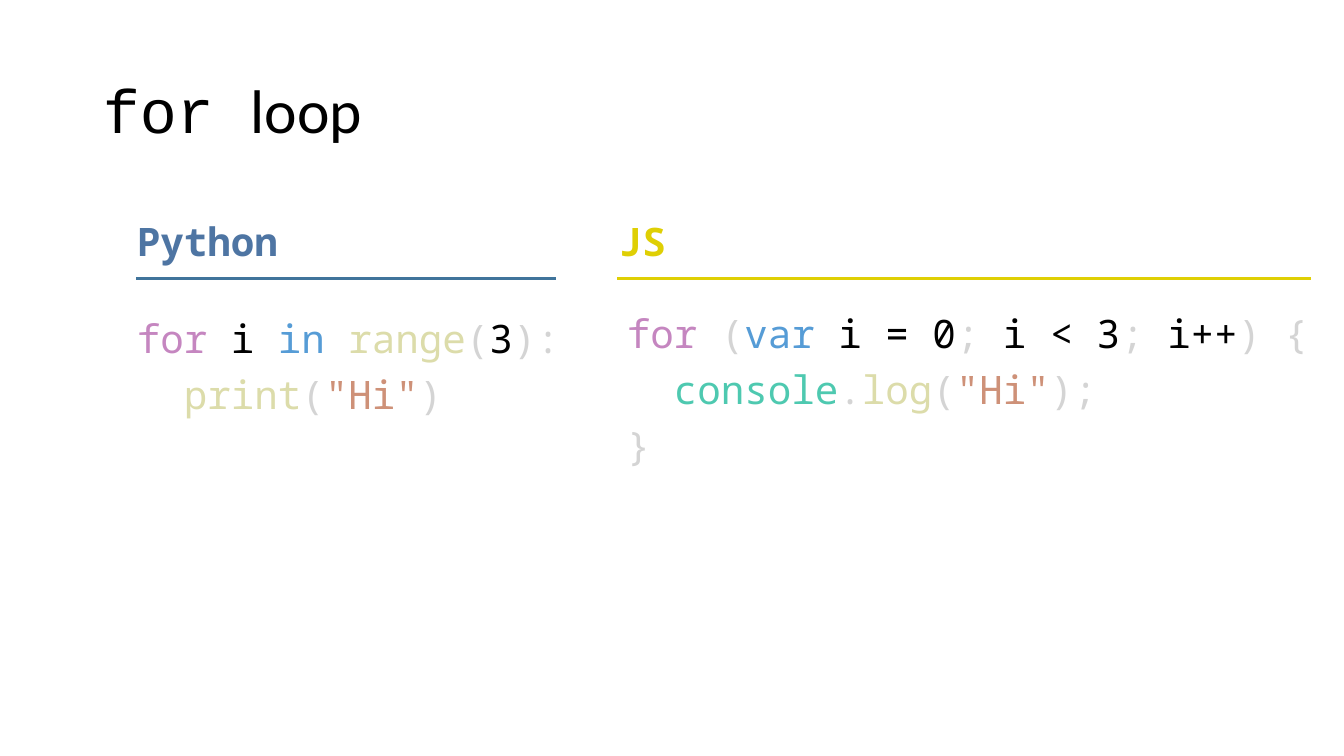
from dataclasses import dataclass

from lxml.etree import SubElement
from pptx import Presentation
from pptx.dml.color import RGBColor
from pptx.enum.shapes import MSO_CONNECTOR
from pptx.enum.text import MSO_ANCHOR, MSO_AUTO_SIZE, PP_ALIGN
from pptx.oxml.ns import qn
from pptx.util import Inches, Pt


@dataclass(frozen=True)
class Theme:
    # Type
    heading_font: str = "Calibri"
    keyword_font: str = "Courier New"
    code_font: str = "Noto Sans Mono"
    title_size: int = 44
    code_size: int = 28
    rule_width: float = 2.25
    # Language colours
    python: str = "4E75A3"
    python_rule: str = "40749B"
    js: str = "DFCF04"
    # Syntax colours
    plain: str = "000000"
    control: str = "C586C0"
    keyword: str = "569CD6"
    function: str = "DCDCAA"
    punctuation: str = "D4D4D4"
    string: str = "CE9178"
    builtin: str = "4EC9B0"


THEME = Theme()

# Each line of code is a list of (text, colour) tokens
PYTHON_CODE = [
    [("for ", THEME.control), ("i ", THEME.plain), ("in ", THEME.keyword),
     ("range", THEME.function), ("(", THEME.punctuation), ("3", THEME.plain),
     ("):", THEME.punctuation)],
    [("  print", THEME.function), ("(", THEME.punctuation),
     ('"Hi"', THEME.string), (")", THEME.punctuation)],
]
JS_CODE = [
    [("for ", THEME.control), ("(", THEME.punctuation), ("var ", THEME.keyword),
     ("i = 0", THEME.plain), ("; ", THEME.punctuation), ("i < 3", THEME.plain),
     ("; ", THEME.punctuation), ("i++", THEME.plain), (") {", THEME.punctuation)],
    [("  console", THEME.builtin), (".", THEME.punctuation),
     ("log", THEME.function), ("(", THEME.punctuation),
     ('"Hi"', THEME.string), (");", THEME.punctuation)],
    [("}", THEME.punctuation)],
]


def add_token(paragraph, text, color, font=THEME.code_font,
              size=THEME.code_size, bold=False):
    token = paragraph.add_run()
    token.text = text
    token.font.name = font
    token.font.size = Pt(size)
    token.font.bold = bold
    token.font.color.rgb = RGBColor.from_string(color)


def format_title(slide):
    title = slide.shapes.title
    title.left, title.top = Inches(0.92), Inches(0.4)
    title.width, title.height = Inches(11.5), Inches(1.45)
    title.text_frame.vertical_anchor = MSO_ANCHOR.MIDDLE
    heading = title.text_frame.paragraphs[0]
    heading.alignment = PP_ALIGN.LEFT
    heading.line_spacing = 0.9
    for text, font in (("for ", THEME.keyword_font), ("loop", THEME.heading_font)):
        add_token(heading, text, THEME.plain, font, THEME.title_size)


def add_text_frame(slide, left, top, width, height):
    box = slide.shapes.add_textbox(Inches(left), Inches(top),
                                   Inches(width), Inches(height))
    box.text_frame.word_wrap = True
    return box.text_frame


def add_language(slide, left, name, color):
    label = add_text_frame(slide, left, 2.11, 1.82, 0.57)
    label.auto_size = MSO_AUTO_SIZE.SHAPE_TO_FIT_TEXT
    add_token(label.paragraphs[0], name, color, bold=True)


def add_rule(slide, start, end, color):
    y = Inches(2.76)
    rule = slide.shapes.add_connector(MSO_CONNECTOR.STRAIGHT,
                                      Inches(start), y, Inches(end), y)
    rule.line.color.rgb = RGBColor.from_string(color)
    rule.line.width = Pt(THEME.rule_width)
    SubElement(rule._element.spPr, qn("a:effectLst"))


def add_code(slide, left, top, width, height, lines):
    code = add_text_frame(slide, left, top, width, height)
    for number, tokens in enumerate(lines):
        line = code.add_paragraph() if number else code.paragraphs[0]
        line.line_spacing = 0.9
        line.space_before = Pt(10)
        for text, color in tokens:
            add_token(line, text, color)


def main():
    prs = Presentation()
    prs.slide_width, prs.slide_height = Inches(13.33), Inches(7.5)
    slide = prs.slides.add_slide(prs.slide_layouts[5])
    format_title(slide)

    # Python column
    add_language(slide, 1.26, "Python", THEME.python)
    add_rule(slide, 1.35, 5.51, THEME.python_rule)
    add_code(slide, 1.26, 3.12, 4.48, 3.68, PYTHON_CODE)

    # JS column
    add_language(slide, 6.04, "JS", THEME.js)
    add_rule(slide, 6.12, 13, THEME.js)
    add_code(slide, 6.12, 3.07, 7.07, 2.86, JS_CODE)

    prs.save("out.pptx")


if __name__ == "__main__":
    main()
